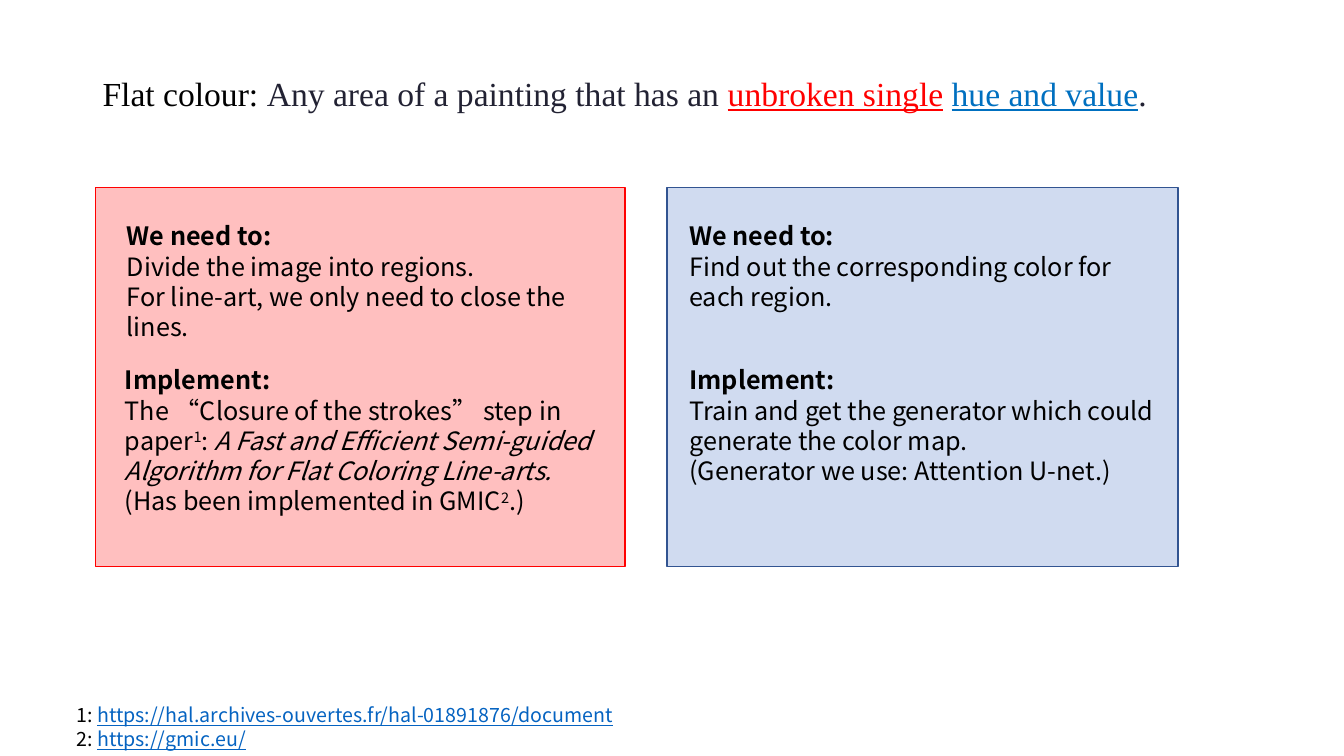
from lxml.etree import SubElement
from pptx import Presentation
from pptx.dml.color import RGBColor
from pptx.enum.shapes import MSO_SHAPE
from pptx.enum.text import MSO_ANCHOR, MSO_AUTO_SIZE, PP_ALIGN
from pptx.oxml.ns import qn
from pptx.util import Pt

SANS = "Noto Sans CJK SC"
SERIF = "Times New Roman"


def color(value):
    return RGBColor.from_string(value)


def add_run(paragraph, words, font, size, ink="000000", bold=False,
            italic=False, underline=False, raised=False):
    run = paragraph.add_run()
    run.text = words
    run.font.name = font
    run.font.size = Pt(size)
    run.font.color.rgb = color(ink)
    run.font.bold = bold
    run.font.italic = italic
    run.font.underline = underline
    properties = run._r.get_or_add_rPr()
    if raised:
        properties.set("baseline", "30000")
    SubElement(properties, qn("a:ea")).set("typeface", font)


def add_text(slide, box, paragraphs, font, size, spacing, grow=True):
    frame = slide.shapes.add_textbox(*map(Pt, box)).text_frame
    frame.word_wrap = True
    frame.auto_size = MSO_AUTO_SIZE.SHAPE_TO_FIT_TEXT if grow else MSO_AUTO_SIZE.NONE
    frame.vertical_anchor = MSO_ANCHOR.TOP
    for index, runs in enumerate(paragraphs):
        paragraph = frame.add_paragraph() if index else frame.paragraphs[0]
        paragraph.alignment = PP_ALIGN.LEFT
        paragraph.line_spacing = spacing
        for words, style in runs:
            add_run(paragraph, words, font, size, **style)


def add_definition(slide, box):
    dark = {"ink": "222233"}
    definition = [
        ("Flat colour: ", {}),
        ("Any area of a painting that has an ", dark),
        ("unbroken single", {"ink": "FF0000", "underline": True}),
        (" ", dark),
        ("hue and value", {"ink": "0070C0", "underline": True}),
        (".", dark),
    ]
    add_text(slide, box, [definition], SERIF, 24, 0.9, grow=False)


def add_panel(slide, box, tint, border, sections):
    left, top, width, height = box
    panel = slide.shapes.add_shape(MSO_SHAPE.RECTANGLE, *map(Pt, box))
    panel.shadow.inherit = False
    panel.fill.solid()
    panel.fill.fore_color.rgb = color(tint)
    tint_element = panel._element.spPr.find(qn("a:solidFill"))[0]
    SubElement(tint_element, qn("a:alpha")).set("val", "25000")
    panel.line.color.rgb = color(border)
    panel.line.width = Pt(1)
    for heading, (dx, dy, text_width, text_height), lines in sections:
        paragraphs = [[(heading, {"bold": True})], *lines]
        text_box = (left + dx, top + dy, text_width, text_height)
        add_text(slide, text_box, paragraphs, SANS, 18, Pt(21.6))


def add_references(slide, box, addresses):
    link = {"ink": "0563C1", "underline": True}
    references = [[(f"{number}: ", {}), (address, link)]
                  for number, address in enumerate(addresses, 1)]
    add_text(slide, box, references, SANS, 14, Pt(17))


def main():
    deck = Presentation()
    deck.slide_width, deck.slide_height = Pt(960), Pt(540)
    slide = deck.slides.add_slide(deck.slide_layouts[6])

    panel_top, panel_height = 133.9, 270.7
    need_dy, implement_dy = 20.2, 123.1
    need, implement = "We need to:", "Implement:"

    add_definition(slide, (66.2, 51.8, 828, 434.9))
    add_panel(slide, (476.6, panel_top, 365, panel_height), "4472C4", "325491", [
        (need, (8.7, need_dy, 358.6, 81.4), [
            [("Find out the corresponding color for each region.", {})],
        ]),
        (implement, (8.7, implement_dy, 349.2, 94.3), [
            [("Train and get the generator which could generate the color map.", {})],
            [("(Generator we use: Attention U-net.)", {})],
        ]),
    ])
    add_panel(slide, (68.4, panel_top, 378, panel_height), "FF0000", "FF0000", [
        (need, (15.1, need_dy, 350.6, 72.7), [
            [("Divide the image into regions.", {})],
            [("For line-art, we only need to close the lines.", {})],
        ]),
        (implement, (13.7, implement_dy, 350.6, 116.6), [
            [("The “Closure of the strokes” step in paper", {}),
             ("1", {"raised": True}),
             (": ", {}),
             ("A Fast and Efficient Semi-guided Algorithm for Flat Coloring Line-arts.",
              {"italic": True})],
            [("(Has been implemented in GMIC", {}),
             ("2", {"raised": True}),
             (".)", {})],
        ]),
    ])
    add_references(slide, (47.5, 498.2, 636.5, 41.2), [
        "https://hal.archives-ouvertes.fr/hal-01891876/document",
        "https://gmic.eu/",
    ])
    deck.save("out.pptx")


if __name__ == "__main__":
    main()
